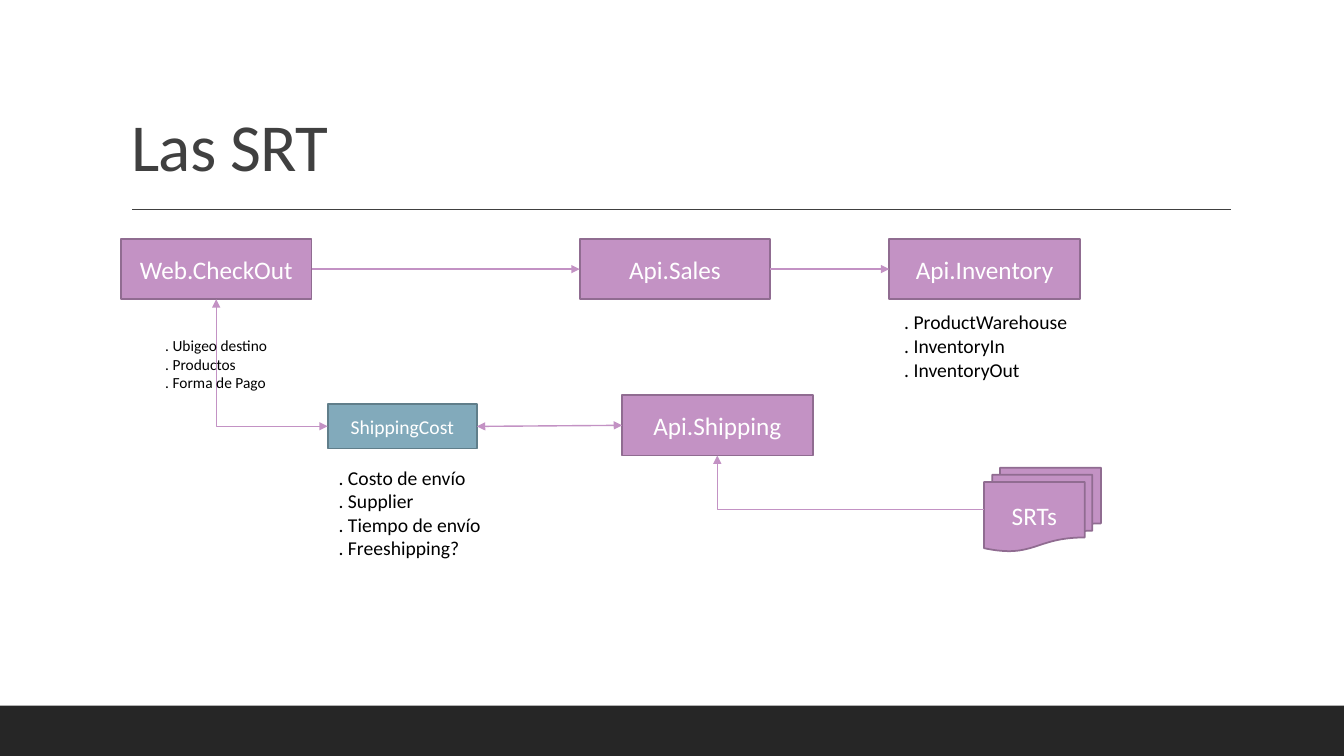
from dataclasses import dataclass

from lxml import etree
from pptx import Presentation
from pptx.dml.color import RGBColor
from pptx.enum.shapes import MSO_CONNECTOR, MSO_SHAPE
from pptx.enum.text import MSO_ANCHOR, MSO_AUTO_SIZE, PP_ALIGN
from pptx.oxml.ns import qn
from pptx.util import Inches, Pt

RECTANGLE = MSO_SHAPE.RECTANGLE
MULTIDOCUMENT = MSO_SHAPE.FLOWCHART_MULTIDOCUMENT
STRAIGHT, ELBOW = MSO_CONNECTOR.STRAIGHT, MSO_CONNECTOR.ELBOW
LEFT, CENTER = PP_ALIGN.LEFT, PP_ALIGN.CENTER
TOP, MIDDLE, BOTTOM = MSO_ANCHOR.TOP, MSO_ANCHOR.MIDDLE, MSO_ANCHOR.BOTTOM
FIT_SHAPE, NO_FIT = MSO_AUTO_SIZE.SHAPE_TO_FIT_TEXT, MSO_AUTO_SIZE.NONE
SIDE_LEFT, SIDE_BOTTOM, SIDE_RIGHT = 1, 2, 3

FONT = "Calibri"
WHITE, BLACK, DARK, FOOTER = "FFFFFF", "000000", "404040", "262626"
PURPLE, PURPLE_EDGE = "C392C4", "906C91"
BLUE, BLUE_EDGE = "82AABB", "607E8A"
BOX_WIDTH, BOX_HEIGHT, TOP_ROW = 1.89, 0.6, 2.37


@dataclass
class Box:
    text: str
    left: float
    top: float
    width: float = BOX_WIDTH
    height: float = BOX_HEIGHT
    fill: str = PURPLE
    edge: str = PURPLE_EDGE
    size: int = 18
    kind: MSO_SHAPE = RECTANGLE


@dataclass
class Link:
    source: str
    source_side: int
    target: str
    target_side: int
    kind: MSO_CONNECTOR = STRAIGHT
    both_ends: bool = False
    one_corner: bool = False


@dataclass
class Note:
    lines: list[str]
    left: float
    top: float
    width: float
    height: float
    size: int = 14


BOXES = [
    Box("Web.CheckOut", 1.2, TOP_ROW),
    Box("ShippingCost", 3.25, 4.01, 1.48, 0.44, BLUE, BLUE_EDGE, 14),
    Box("Api.Sales", 5.75, TOP_ROW),
    Box("Api.Shipping", 6.17, 3.92),
    Box("SRTs", 9.76, 4.64, 1.16, 0.83, kind=MULTIDOCUMENT),
    Box("Api.Inventory", 8.82, TOP_ROW),
]
LINKS = [
    Link("Web.CheckOut", SIDE_RIGHT, "Api.Sales", SIDE_LEFT, ELBOW),
    Link("SRTs", SIDE_LEFT, "Api.Shipping", SIDE_BOTTOM, ELBOW, one_corner=True),
    Link("ShippingCost", SIDE_RIGHT, "Api.Shipping", SIDE_LEFT, both_ends=True),
    Link("Api.Sales", SIDE_RIGHT, "Api.Inventory", SIDE_LEFT),
    Link("ShippingCost", SIDE_LEFT, "Web.CheckOut", SIDE_BOTTOM, ELBOW, True, True),
]
NOTES = [
    Note([". Costo de envío", ". Supplier", ". Tiempo de envío", ". Freeshipping?"],
         3.26, 4.57, 1.62, 1.04),
    Note([". ProductWarehouse", ". InventoryIn", ". InventoryOut"],
         8.87, 3.03, 1.83, 0.81),
    Note([". Ubigeo destino", ". Productos", ". Forma de Pago"],
         1.54, 3.29, 1.22, 0.66, 11),
]


def color(hex_value: str) -> RGBColor:
    return RGBColor.from_string(hex_value)


def write(shape, lines: list[str], *, size: int, font_color: str, align=LEFT,
          anchor=TOP, wrap: bool = True, fit=NO_FIT, line_spacing: float = 1.0,
          tracking: int = 0) -> None:
    """Write one paragraph per line; tracking is in hundredths of a point."""
    frame = shape.text_frame
    frame.word_wrap = wrap
    frame.auto_size = fit
    frame.vertical_anchor = anchor
    frame.text = "\n".join(lines)
    for paragraph in frame.paragraphs:
        paragraph.alignment = align
        paragraph.line_spacing = line_spacing
        for run in paragraph.runs:
            run.font.name = FONT
            run.font.size = Pt(size)
            run.font.color.rgb = color(font_color)
            if tracking:
                run._r.get_or_add_rPr().set("spc", str(tracking))


def add_box(slide, box: Box):
    shape = slide.shapes.add_shape(box.kind, Inches(box.left), Inches(box.top),
                                   Inches(box.width), Inches(box.height))
    shape.shadow.inherit = False
    shape.fill.solid()
    shape.fill.fore_color.rgb = color(box.fill)
    shape.line.color.rgb = color(box.edge)
    shape.line.width = Pt(1.25)
    write(shape, [box.text], size=box.size, font_color=WHITE, align=CENTER, anchor=MIDDLE)
    return shape


def add_line(slide, kind, line_color: str, start=(0, 0), end=(0, 0)):
    connector = slide.shapes.add_connector(kind, *map(Inches, (*start, *end)))
    connector.line.color.rgb = color(line_color)
    connector.line.width = Pt(1)
    etree.SubElement(connector._element.spPr, qn("a:effectLst"))
    return connector


def add_link(slide, link: Link, shapes: dict) -> None:
    connector = add_line(slide, link.kind, PURPLE)
    connector.begin_connect(shapes[link.source], link.source_side)
    connector.end_connect(shapes[link.target], link.target_side)
    if link.one_corner:
        connector._element.spPr.find(qn("a:prstGeom")).set("prst", "bentConnector2")
    line = connector.line._get_or_add_ln()
    for end in ("headEnd", "tailEnd") if link.both_ends else ("tailEnd",):
        etree.SubElement(line, qn(f"a:{end}"), type="triangle")


def add_note(slide, note: Note) -> None:
    text_box = slide.shapes.add_textbox(Inches(note.left), Inches(note.top),
                                        Inches(note.width), Inches(note.height))
    write(text_box, note.lines, size=note.size, font_color=BLACK, wrap=False, fit=FIT_SHAPE)


def add_title(slide, text: str) -> None:
    title = slide.shapes.title
    title.left, title.top = Inches(1.2), Inches(0.31)
    title.width, title.height = Inches(11), Inches(1.59)
    write(title, [text], size=48, font_color=DARK, anchor=BOTTOM,
          line_spacing=0.9, tracking=-50)


def add_footer_band(slide) -> None:
    band = slide.shapes.add_shape(RECTANGLE, 0, Inches(7), Inches(13.33), Inches(0.5))
    band.shadow.inherit = False
    band.fill.solid()
    band.fill.fore_color.rgb = color(FOOTER)
    band.line.fill.background()


def main() -> None:
    presentation = Presentation()
    presentation.slide_width, presentation.slide_height = Inches(13.33), Inches(7.5)
    slide = presentation.slides.add_slide(presentation.slide_layouts[5])
    add_footer_band(slide)
    add_line(slide, STRAIGHT, DARK, (1.31, 2.08), (12.21, 2.08))
    add_title(slide, "Las SRT")
    shapes = {box.text: add_box(slide, box) for box in BOXES}
    for link in LINKS:
        add_link(slide, link, shapes)
    for note in NOTES:
        add_note(slide, note)
    presentation.save("out.pptx")


if __name__ == "__main__":
    main()
